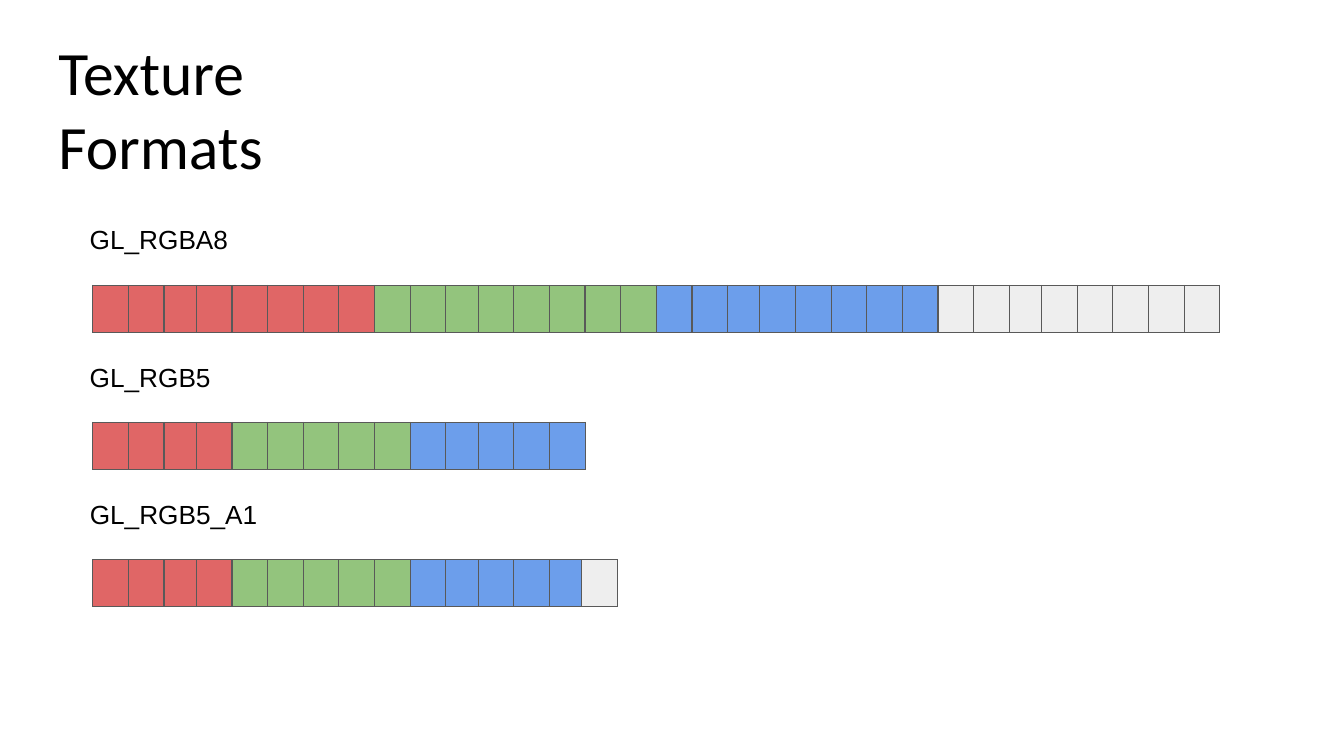
from lxml.etree import SubElement
from pptx import Presentation
from pptx.dml.color import RGBColor
from pptx.enum.text import MSO_ANCHOR as Anchor
from pptx.oxml.ns import qn
from pptx.util import Inches, Pt

RED, GREEN, BLUE, ALPHA = "E06666", "93C47D", "6C9EEB", "EEEEEE"
BORDER, TEXT = "595959", "000000"
LEFT, FIRST_ROW, ROW_PITCH, ROW_HEIGHT = 0.92, 2.83, 1.36, 0.47
LABEL_LEFT, LABEL_RISE = 0.87, 0.63
NARROW = 0.32
WIDE = (11.19 - 4 * NARROW) / 28  # 32 bits, one narrow column per byte

# Label, label width, bits per channel, extra narrow columns
FORMATS = [
    ("GL_RGBA8", 1.4, [(RED, 8), (GREEN, 8), (BLUE, 8), (ALPHA, 8)], []),
    ("GL_RGB5", 1.23, [(RED, 4), (GREEN, 5), (BLUE, 5)], []),
    ("GL_RGB5_A1", 1.69, [(RED, 4), (GREEN, 5), (BLUE, 5), (ALPHA, 1)], [13]),
]


def add_text(text, bounds, size, font_name, anchor):
    """Add a one-paragraph text box; bounds are in inches."""
    box = page.shapes.add_textbox(*map(Inches, bounds))
    frame = box.text_frame
    frame.word_wrap = True
    frame.vertical_anchor = anchor
    frame.margin_left = frame.margin_right = frame.margin_bottom = 0
    frame.margin_top = Inches(0.02)
    para = frame.paragraphs[0]
    para.text = text
    para.space_before = Pt(1.3)
    para._p.get_or_add_pPr().set("marL", str(Inches(0.02)))
    para.font.size = Pt(size)
    para.font.name = font_name
    para.font.color.rgb = RGBColor.from_string(TEXT)


def style_cell(cell, color, left_weight, right_weight):
    """Give a cell its borders and fill."""
    properties = cell._tc.get_or_add_tcPr()
    weights = {"L": left_weight, "R": right_weight, "T": 0.75, "B": 0.75}
    for side, weight in weights.items():
        line = SubElement(properties, qn(f"a:ln{side}"), w=str(Pt(weight)))
        fill = SubElement(line, qn("a:solidFill"))
        SubElement(fill, qn("a:srgbClr"), val=BORDER)
    cell.fill.solid()
    cell.fill.fore_color.rgb = RGBColor.from_string(color)


deck = Presentation()
deck.slide_width, deck.slide_height = Inches(13.33), Inches(7.5)
page = deck.slides.add_slide(deck.slide_layouts[6])

add_text("Texture Formats", (0.56, 0.31, 3.83, 1.5), 44, "Calibri", Anchor.MIDDLE)

for row, (label, label_width, channels, extra_narrow) in enumerate(FORMATS):
    top = FIRST_ROW + row * ROW_PITCH
    add_text(label, (LABEL_LEFT, top - LABEL_RISE, label_width, 0.33),
             18.7, "Arial", Anchor.TOP)

    bits = [color for color, count in channels for _ in range(count)]
    narrow = [bit % 8 == 2 or bit in extra_narrow for bit in range(len(bits))]
    widths = [NARROW if is_narrow else WIDE for is_narrow in narrow]
    bounds = (LEFT, top, sum(widths), ROW_HEIGHT)
    table = page.shapes.add_table(1, len(bits), *map(Inches, bounds)).table
    for bit, color in enumerate(bits):
        table.columns[bit].width = Inches(widths[bit])
        thin_left = bit == 0 or narrow[bit - 1]
        thin_right = bit == len(bits) - 1 or narrow[bit]
        style_cell(table.cell(0, bit), color,
                   0.75 if thin_left else 1, 0.75 if thin_right else 1)

deck.save("out.pptx")
